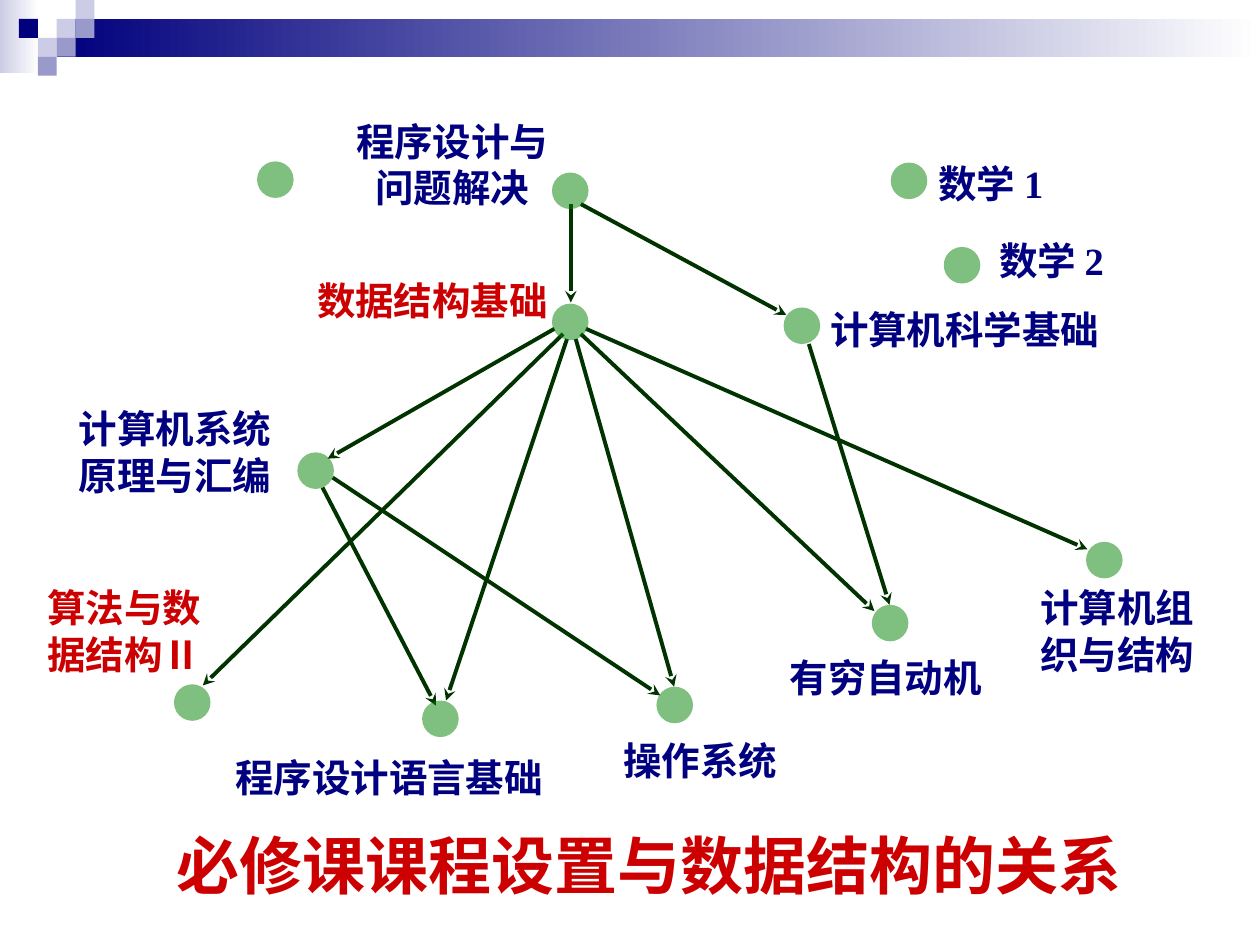
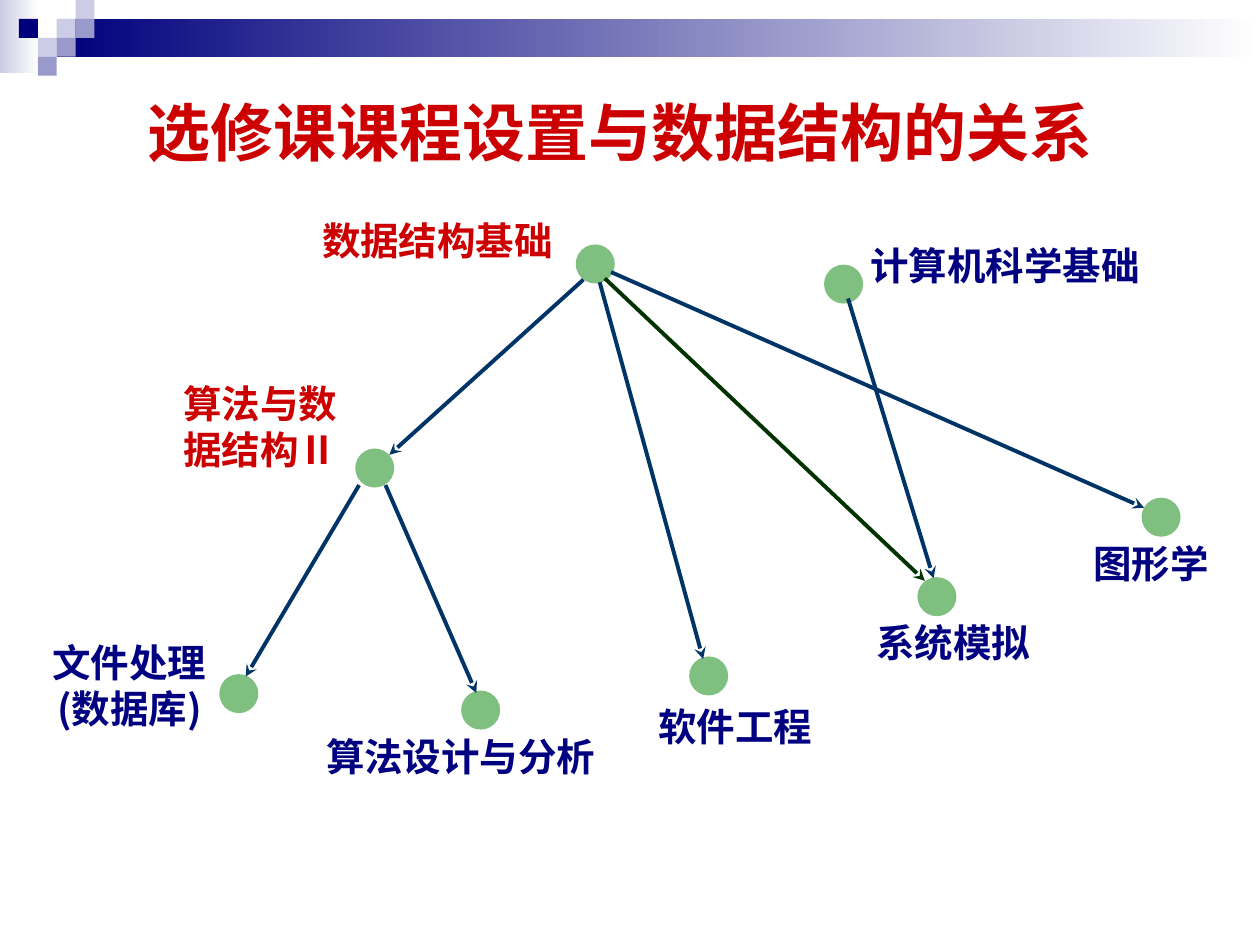
import dataclasses
import pptx
import pptx.util
import pptx.dml.color
import pptx.enum.shapes
import pptx.enum.text
import pptx.oxml
import pptx.oxml.ns
import lxml.etree

Pt = pptx.util.Pt
Align = pptx.enum.text.PP_ALIGN
Shape = pptx.enum.shapes.MSO_SHAPE


@dataclasses.dataclass(frozen=True)
class Theme:
    navy: str = "00007D"
    mid: str = "9999CC"
    pale: str = "CCCCE6"
    white: str = "FFFFFF"
    label: str = "000080"
    focus: str = "CC0000"
    node: str = "008000"
    green: str = "003300"
    blue: str = "003366"
    title_size: float = 36
    label_size: float = 22
    line_width: float = 2.25
    title_font: str = "Arial"
    label_font: str = "Times New Roman"
    chinese_font: str = "Noto Sans CJK SC"


theme = Theme()
CELL = 10.8
MOSAIC = [
    (3, 1, theme.pale), (4, 0, theme.pale), (4, 1, theme.mid), (2, 2, theme.pale),
    (1, 1, theme.navy), (3, 2, theme.mid), (2, 3, theme.mid),
]
FOCUS_COURSES = {"数据结构基础", "算法与数\n据结构Ⅱ"}

REQUIRED = {
    "title": ("必修课课程设置与数据结构的关系", 93.6, 468.7, 559.4, 50.4, Align.LEFT),
    "node_size": 20.9,
    "nodes_in_front": True,
    "nodes": [
        (146.9, 92.2), (315.4, 98.6), (509, 92.9), (539.3, 141.1),
        (169.9, 258.5), (99.4, 391), (241.2, 400.3), (375.1, 392.4),
        (620.6, 309.6), (498.2, 345.6), (315.4, 173.5), (447.8, 175.7),
    ],
    "arrows": [
        (326.2, 116.6, 326.2, 172.8, theme.green),
        (316.8, 187.9, 187.2, 262.1, theme.green),
        (321.8, 190.8, 115.9, 391.7, theme.green),
        (324, 193.7, 254.9, 400.3, theme.green),
        (329, 193.7, 385.2, 392.4, theme.green),
        (331.9, 190.8, 499.7, 349.2, theme.green),
        (334.8, 187.9, 621.4, 313.9, theme.green),
        (331.9, 116.6, 449.3, 180, theme.green),
        (462.2, 196.6, 508.3, 345.6, theme.green),
        (184.3, 278.6, 249.1, 403.2, theme.green),
        (190.1, 272.9, 377.3, 397.4, theme.green),
    ],
    "labels": [
        ("程序设计与\n问题解决", 195.8, 60.5, Align.CENTER),
        ("数据结构基础", 172.8, 151.2, Align.RIGHT),
        ("数学 1", 529.2, 84.2, Align.JUSTIFY),
        ("数学 2", 563.8, 128.2, Align.JUSTIFY),
        ("计算机科学基础", 467.3, 167.8, Align.JUSTIFY),
        ("计算机系统\n原理与汇编", 36.7, 224.6, Align.RIGHT),
        ("算法与数\n据结构Ⅱ", 19.4, 326.9, Align.CENTER),
        ("程序设计语言基础", 126.7, 423.4, Align.CENTER),
        ("操作系统", 348.5, 414, Align.CENTER),
        ("有穷自动机", 443.5, 366.5, Align.CENTER),
        ("计算机组\n织与结构", 586.8, 326.9, Align.CENTER),
    ],
}

ELECTIVE = {
    "title": ("选修课课程设置与数据结构的关系", 30.4, 45.6, 648, 58.3, Align.CENTER),
    "node_size": 22.3,
    "nodes_in_front": False,
    "nodes": [
        (203, 256.3), (125.3, 385.2), (263.5, 394.6), (652.3, 284.4),
        (393.8, 375.1), (329, 139.7), (470.9, 151.2), (524.2, 329.8),
    ],
    "arrows": [
        (333.4, 159.8, 222.5, 259.9, theme.blue),
        (342.7, 161.3, 401.8, 376.6, theme.blue),
        (345.6, 159.1, 528.5, 331.9, theme.green),
        (349.2, 155.5, 653.8, 290.2, theme.blue),
        (484.6, 170.6, 533.5, 330.5, theme.blue),
        (205.2, 277.2, 140.4, 386.6, theme.blue),
        (220.3, 277.2, 272.2, 396, theme.blue),
    ],
    "labels": [
        ("数据结构基础", 175.7, 116.6, Align.RIGHT),
        ("计算机科学基础", 490.3, 131, Align.JUSTIFY),
        ("算法与数\n据结构Ⅱ", 96.5, 210.2, Align.RIGHT),
        ("文件处理\n(数据库)", 22.3, 357.8, Align.CENTER, theme.chinese_font),
        ("算法设计与分析", 178.6, 411.8, Align.CENTER),
        ("软件工程", 368.6, 394.6, Align.CENTER),
        ("图形学", 617.8, 301, Align.JUSTIFY),
        ("系统模拟", 493.2, 346.3, Align.CENTER),
    ],
}


def rgb(color):
    return pptx.dml.color.RGBColor.from_string(color)


def add_child(parent, tag, **attributes):
    child = lxml.etree.SubElement(parent, pptx.oxml.ns.qn(tag))
    for name, value in attributes.items():
        child.set(name, value)
    return child


def add_filled(slide, kind, left, top, width, height, color, fade_to=None, alpha=None):
    shape = slide.shapes.add_shape(kind, Pt(left), Pt(top), Pt(width), Pt(height))
    shape.shadow.inherit = False
    shape.line.fill.background()
    if fade_to:
        shape.fill.gradient()
        shape.fill.gradient_angle = 0
        for stop, stop_color in zip(shape.fill.gradient_stops, (color, fade_to)):
            stop.color.rgb = rgb(stop_color)
    else:
        shape.fill.solid()
        shape.fill.fore_color.rgb = rgb(color)
    if alpha:
        color_element = shape.element.spPr.find(".//" + pptx.oxml.ns.qn("a:srgbClr"))
        add_child(color_element, "a:alpha", val=str(alpha * 1000))


def add_text(slide, text, *, left, top, width, height, size, color, font, align, inset=(7.2, 7.2)):
    box = slide.shapes.add_textbox(Pt(left), Pt(top), Pt(width), Pt(height))
    frame = box.text_frame
    frame.word_wrap = True
    frame.vertical_anchor = pptx.enum.text.MSO_ANCHOR.MIDDLE
    frame.margin_left = frame.margin_right = Pt(inset[0])
    frame.margin_top = frame.margin_bottom = Pt(inset[1])
    for index, line in enumerate(text.split("\n")):
        para = frame.add_paragraph() if index else frame.paragraphs[0]
        para.alignment = align
        span = para.add_run()
        span.text = line
        span.font.size = Pt(size)
        span.font.bold = True
        span.font.name = font
        span.font.color.rgb = rgb(color)
        add_child(span.font._element, "a:ea", typeface=theme.chinese_font)


def add_label(slide, text, left, top, align, font=theme.label_font):
    lines = text.split("\n")
    ems = max(sum(0.25 if c == " " else 0.5 if c.isascii() else 1 for c in line) for line in lines)
    add_text(
        slide, text, left=left, top=top, width=ems * theme.label_size + 15.2,
        height=26 * len(lines) + 15, size=theme.label_size, font=font, align=align,
        color=theme.focus if text in FOCUS_COURSES else theme.label,
    )


def add_arrows(slide, arrows):
    for *ends, color in arrows:
        straight = pptx.enum.shapes.MSO_CONNECTOR.STRAIGHT
        arrow = slide.shapes.add_connector(straight, *map(Pt, ends))
        arrow.line.width = Pt(theme.line_width)
        arrow.line.color.rgb = rgb(color)
        add_child(arrow.line._get_or_add_ln(), "a:tailEnd", type="stealth")
        add_child(arrow._element.spPr, "a:effectLst")


def add_nodes(slide, nodes, size):
    for left, top in nodes:
        add_filled(slide, Shape.OVAL, left, top, size, size, theme.node, alpha=50)


def add_band(slide):
    add_filled(slide, Shape.RECTANGLE, 0, 0, 22.3, 41.8, theme.pale, fade_to=theme.white)
    add_filled(slide, Shape.RECTANGLE, 3 * CELL, CELL, 720 - 3 * CELL, 2 * CELL,
               theme.navy, fade_to=theme.white)
    for column, row, color in MOSAIC:
        add_filled(slide, Shape.RECTANGLE, column * CELL, row * CELL, CELL, CELL, color)


def add_course_map(deck, course_map):
    slide = deck.slides.add_slide(deck.slide_layouts[6])
    add_band(slide)
    if course_map["nodes_in_front"]:
        add_arrows(slide, course_map["arrows"])
    add_nodes(slide, course_map["nodes"], course_map["node_size"])
    if not course_map["nodes_in_front"]:
        add_arrows(slide, course_map["arrows"])
    for label in course_map["labels"]:
        add_label(slide, *label)
    text, left, top, width, height, align = course_map["title"]
    add_text(slide, text, left=left, top=top, width=width, height=height, align=align,
             size=theme.title_size, color=theme.focus, font=theme.title_font, inset=(7.2, 3.6))


def main():
    deck = pptx.Presentation()
    deck.slide_width, deck.slide_height = Pt(720), Pt(540)
    for course_map in (REQUIRED, ELECTIVE):
        add_course_map(deck, course_map)
    deck.save("out.pptx")


if __name__ == "__main__":
    main()
